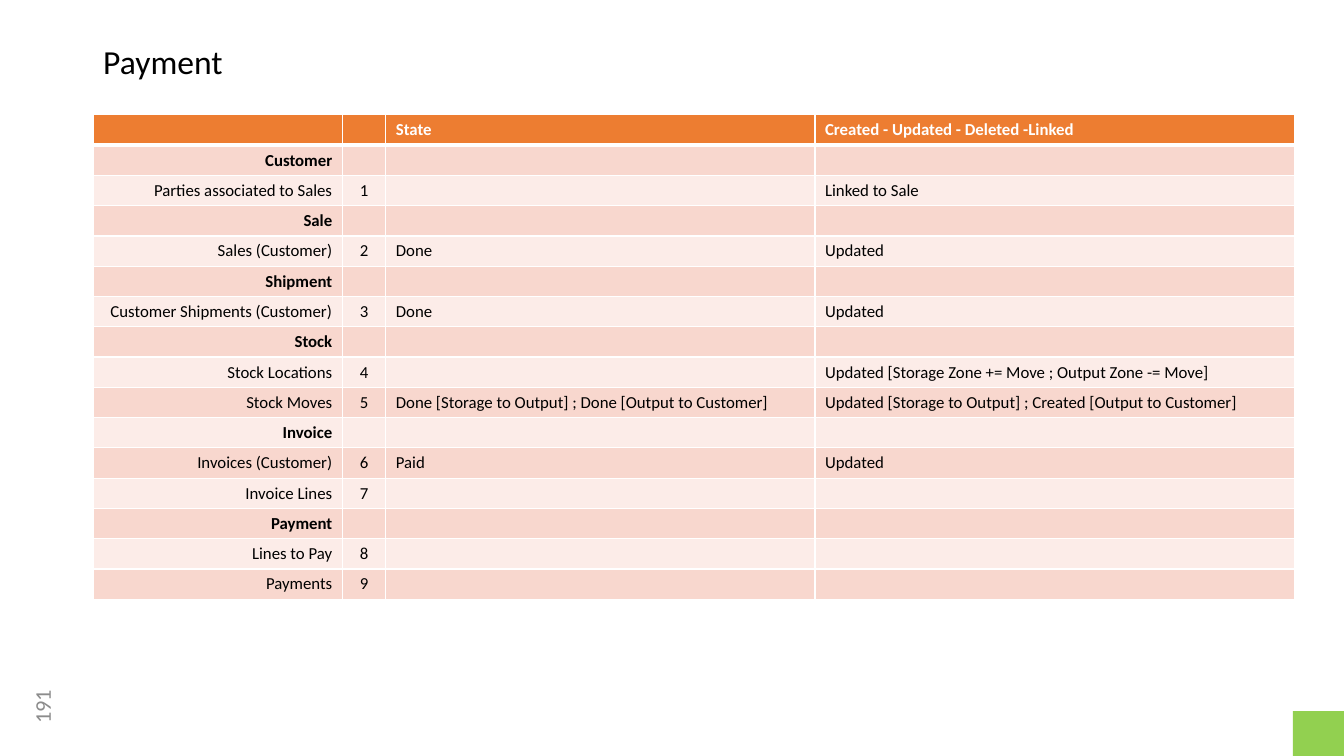
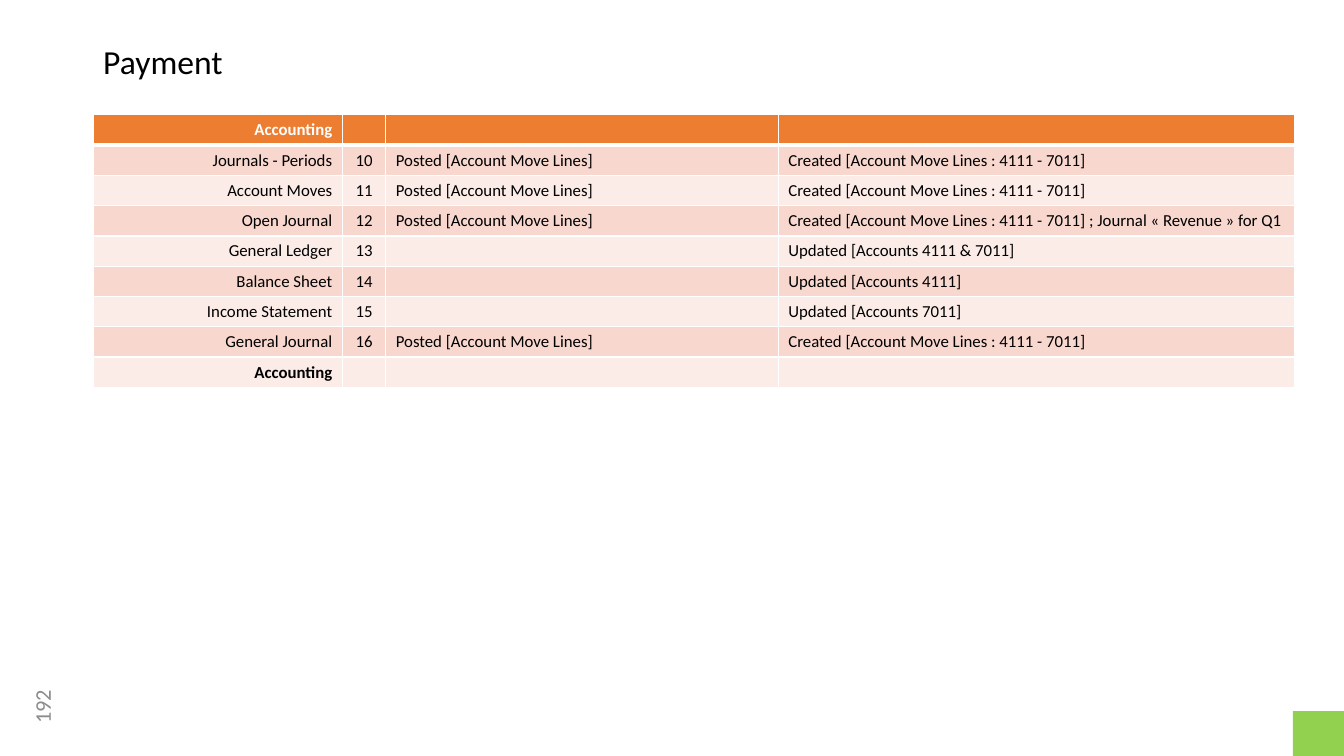
import pptx
import pptx.util
import pptx.dml.color
import pptx.enum.shapes
import pptx.enum.text
from lxml import etree

Pt = pptx.util.Pt
RGB = pptx.dml.color.RGBColor
ALIGN = pptx.enum.text.PP_ALIGN
ANCHOR = pptx.enum.text.MSO_ANCHOR

# Content: a row without a number is a bold group heading
POSTED = "Posted [Account Move Lines]"
MOVES = "Created [Account Move Lines : 4111 - 7011]"
SALES = [
    ("", "", "State", "Created - Updated - Deleted -Linked"),
    ("Customer", "", "", ""),
    ("Parties associated to Sales", "1", "", "Linked to Sale"),
    ("Sale", "", "", ""),
    ("Sales (Customer)", "2", "Done", "Updated"),
    ("Shipment", "", "", ""),
    ("Customer Shipments (Customer)", "3", "Done", "Updated"),
    ("Stock", "", "", ""),
    ("Stock Locations", "4", "", "Updated [Storage Zone += Move ; Output Zone -= Move]"),
    ("Stock Moves", "5", "Done [Storage to Output] ; Done [Output to Customer]",
     "Updated [Storage to Output] ; Created [Output to Customer]"),
    ("Invoice", "", "", ""),
    ("Invoices (Customer)", "6", "Paid", "Updated"),
    ("Invoice Lines", "7", "", ""),
    ("Payment", "", "", ""),
    ("Lines to Pay", "8", "", ""),
    ("Payments", "9", "", ""),
]
BOOKS = [
    ("Accounting", "", "", ""),
    ("Journals - Periods", "10", POSTED, MOVES),
    ("Account Moves", "11", POSTED, MOVES),
    ("Open Journal", "12", POSTED, MOVES + " ; Journal « Revenue » for Q1"),
    ("General Ledger", "13", "", "Updated [Accounts 4111 & 7011]"),
    ("Balance Sheet", "14", "", "Updated [Accounts 4111]"),
    ("Income Statement", "15", "", "Updated [Accounts 7011]"),
    ("General Journal", "16", POSTED, MOVES),
    ("Accounting", "", "", ""),
]
# Page number, title, width of the state column, rows
PAGES = [("191", "Payment", 306.6, SALES), ("192", "Payment", 280.4, BOOKS)]

# Shared style
FONT = "Calibri"
BLACK = RGB(0x00, 0x00, 0x00)
WHITE = RGB(0xFF, 0xFF, 0xFF)
GREY = RGB(0x8C, 0x8C, 0x8C)
GREEN = RGB(0x92, 0xD0, 0x50)
ORANGE = RGB(0xED, 0x7D, 0x31)
BANDS = (RGB(0xFC, 0xEC, 0xE8), RGB(0xF8, 0xD7, 0xCE))
SIDES = (ALIGN.RIGHT, ALIGN.CENTER, ALIGN.LEFT, ALIGN.LEFT)
WIDE, HIGH = 960, 540
LEFT, TOP, SPAN, ROW = 66.6, 82, 858.2, 21.6
LABEL, NUM = 178, 31


def style(para, size, color, bold=False):
    for run in para.runs:
        font = run.font
        font.name, font.size, font.bold = FONT, Pt(size), bold
        font.color.rgb = color


def border(cell, row):
    """Draw white cell lines, thicker below the header."""
    props = cell._tc.get_or_add_tcPr()
    space = "{" + props.nsmap["a"] + "}"
    thick = {"lnT": row == 1, "lnB": row == 0}
    for edge in ("lnL", "lnR", "lnT", "lnB"):
        size = Pt(3 if thick.get(edge) else 1)
        line = etree.SubElement(props, space + edge, w=str(size))
        fill = etree.SubElement(line, space + "solidFill")
        etree.SubElement(fill, space + "srgbClr", val=str(WHITE))


def frame(slide, number, title):
    # Title
    head = slide.shapes.title
    head.left, head.top, head.width, head.height = Pt(66.5), Pt(29), Pt(828), Pt(36.5)
    text = head.text_frame
    text.text = title
    text.vertical_anchor = ANCHOR.TOP
    text.auto_size = pptx.enum.text.MSO_AUTO_SIZE.NONE
    para = text.paragraphs[0]
    para.alignment, para.line_spacing = ALIGN.LEFT, 0.9
    style(para, 24, BLACK)

    # Turned page number
    box = slide.shapes.add_textbox(Pt(3), Pt(490.3), Pt(54), Pt(29))
    box.rotation = 270
    text = box.text_frame
    text.word_wrap = True
    text.vertical_anchor = ANCHOR.MIDDLE
    text.text = number
    text.paragraphs[0].alignment = ALIGN.CENTER
    style(text.paragraphs[0], 16, GREY)

    # Corner block
    wide, high = 36.5, 32
    block = slide.shapes.add_shape(
        pptx.enum.shapes.MSO_SHAPE.RECTANGLE,
        Pt(WIDE - wide), Pt(HIGH - high), Pt(wide), Pt(high))
    block.shadow.inherit = False
    block.fill.solid()
    block.fill.fore_color.rgb = GREEN
    block.line.fill.background()


def grid(slide, state, rows):
    cols = (LABEL, NUM, state, SPAN - LABEL - NUM - state)
    table = slide.shapes.add_table(
        len(rows), len(cols), Pt(LEFT), Pt(TOP), Pt(SPAN), Pt(ROW * len(rows))).table
    for col, wide in zip(table.columns, cols):
        col.width = Pt(wide)
    for r, row in enumerate(rows):
        table.rows[r].height = Pt(ROW)
        for c, words in enumerate(row):
            cell = table.cell(r, c)
            border(cell, r)
            cell.fill.solid()
            cell.fill.fore_color.rgb = BANDS[r % 2] if r else ORANGE
            cell.text_frame.text = words
            para = cell.text_frame.paragraphs[0]
            para.alignment = SIDES[c]
            style(para, 12, BLACK if r else WHITE, r == 0 or not row[1])
            # Keep empty cells as low as filled ones
            para._p.get_or_add_endParaRPr().set("sz", "1200")


def main():
    deck = pptx.Presentation()
    deck.slide_width, deck.slide_height = Pt(WIDE), Pt(HIGH)
    for number, title, state, rows in PAGES:
        slide = deck.slides.add_slide(deck.slide_layouts[5])
        frame(slide, number, title)
        grid(slide, state, rows)
    deck.save("out.pptx")


if __name__ == "__main__":
    main()
